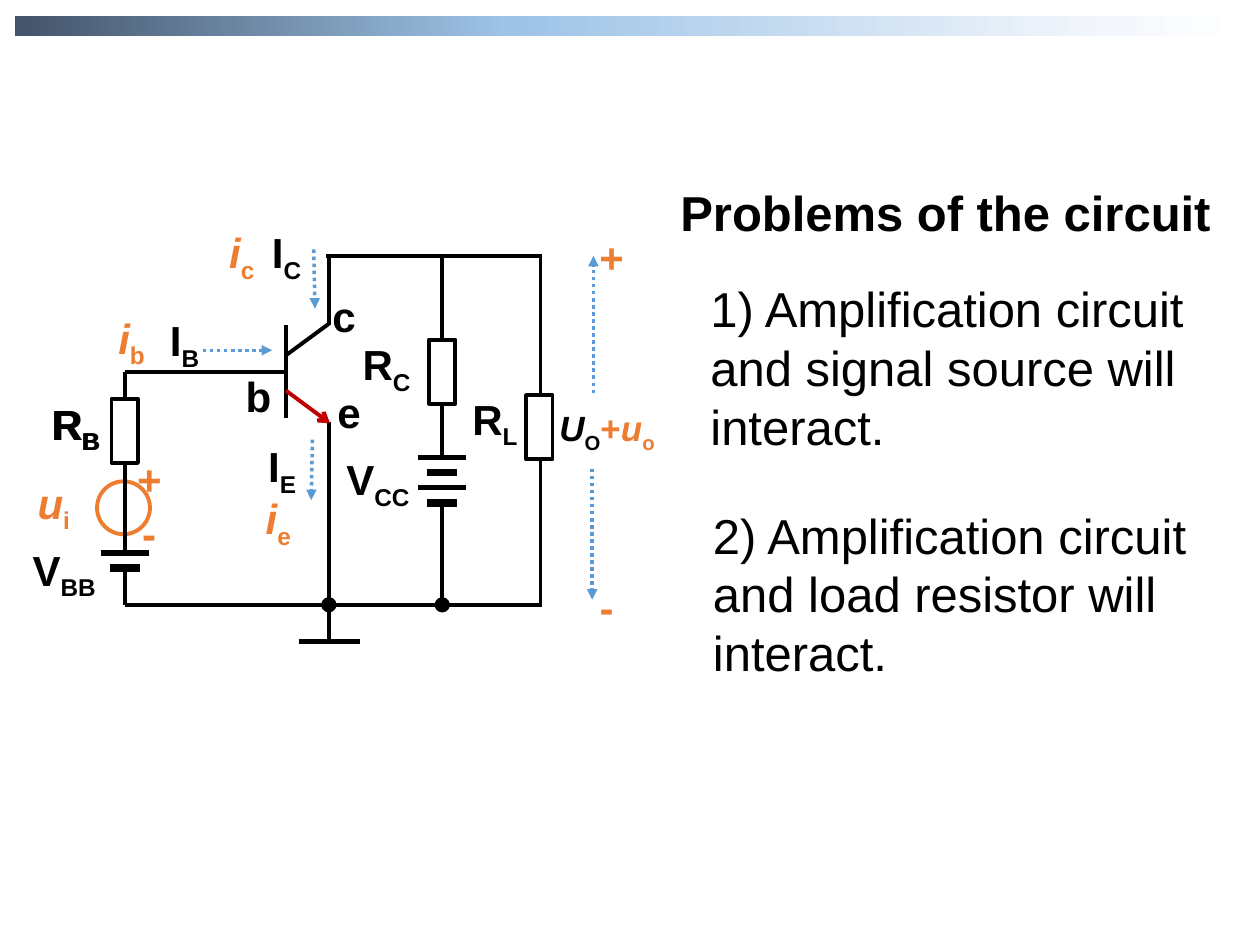
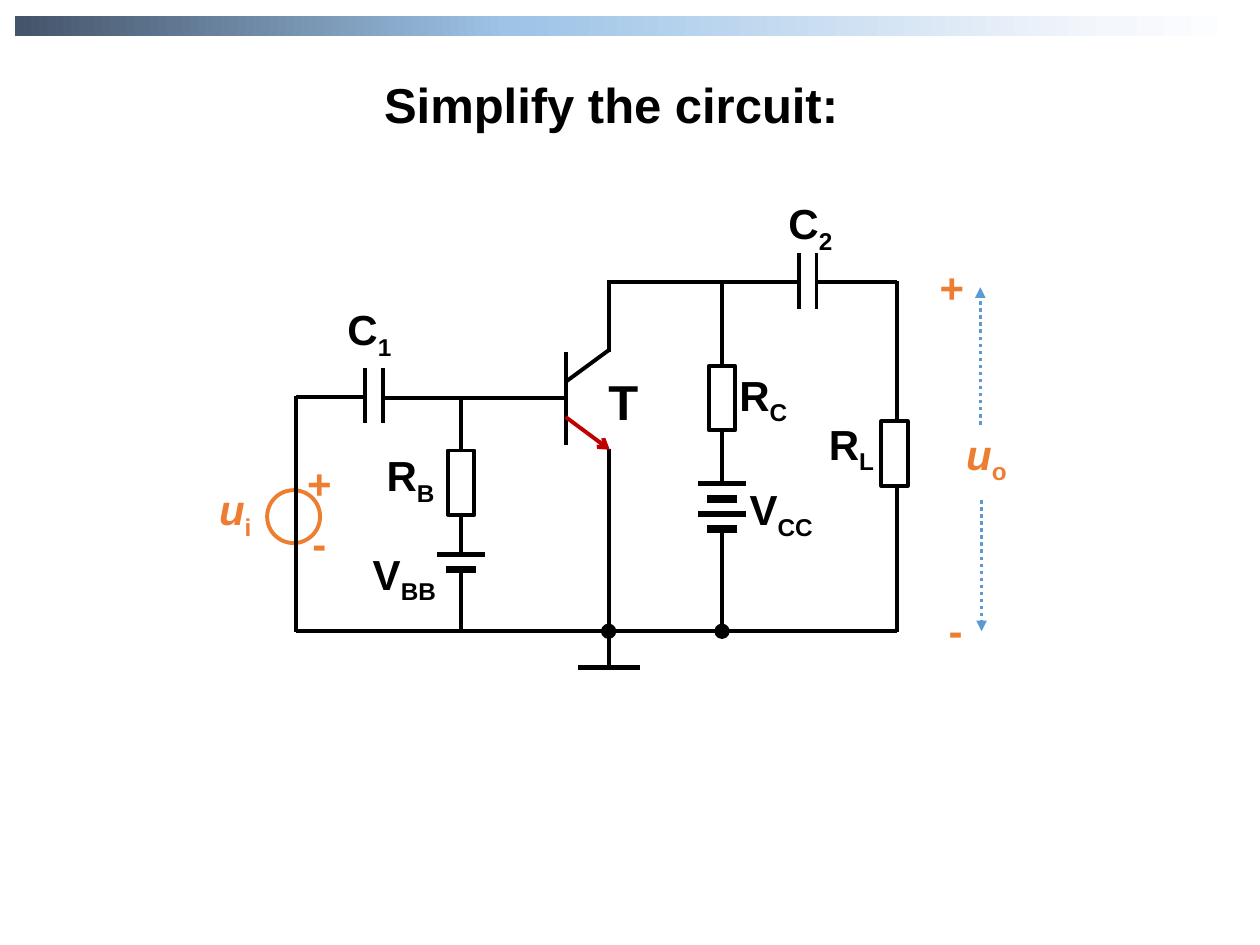
from lxml import etree
from pptx import Presentation
from pptx.dml.color import RGBColor
from pptx.enum.dml import MSO_LINE_DASH_STYLE as Dash
from pptx.enum.shapes import MSO_CONNECTOR, MSO_SHAPE
from pptx.enum.text import MSO_ANCHOR, MSO_AUTO_SIZE, PP_ALIGN
from pptx.oxml import parse_xml
from pptx.oxml.ns import nsdecls, qn
from pptx.util import Inches, Pt

WIDTH, HEIGHT = 10, 7.5
FONT = "Arial"
COLORS = {"ink": "000000", "paper": "FFFFFF", "signal": "ED7D31",
          "current": "5B9BD5", "emitter": "C00000"}
BAND = (0.12, 0.13, WIDTH - 2 * 0.12, 0.16)
BAND_STOPS = [(0, "44546A"), (40, "9DC3E6"), (89, "F4F7FC"), (100, "FFFFFF")]
WIRE, PLATE, THICK_PLATE, DOTTED = 2.25, 3, 4.5, 2

# Label styles: colour, and whether the main letter is italic
STYLES = {"dc": ("ink", False), "total": ("ink", True),
          "ac": ("signal", True), "sign": ("signal", False)}

# Output stage, measured from the top of the transistor's base bar
STAGE_WIRES = [
    ((0, 0), (0, 0.74)), ((0, 0.24), (0.34, -0.01)),
    ((0.34, 0), (0.34, -0.55)), ((0.34, 0.77), (0.34, 2.5)),
    ((1.24, -0.56), (1.24, 1.05)), ((1.24, 1.39), (1.24, 2.22)),
]
STAGE_EMITTER = ((0, 0.52), (0.35, 0.78))
STAGE_GROUND = ((0.1, 2.51), (0.59, 2.51))
STAGE_RESISTOR = (1.24, 0.37)
STAGE_CELLS = [(1.24, 1.05), (1.24, 1.29)]
STAGE_NODES = [(0.34, 2.22), (1.24, 2.22)]

# Labels: style, main text, subscript, left, top, width
CIRCUITS = [
    {
        "title": "Problems of the circuit",
        "title_box": (5.3, 1.4, 4.42, 0.57), "title_align": PP_ALIGN.LEFT,
        "notes": [
            ("1) Amplification circuit and signal source will interact.", (5.54, 2.16, 4.34, 1.48)),
            ("2) Amplification circuit and load resistor will interact.", (5.56, 3.96, 4.21, 1.48)),
        ],
        "stage": (2.27, 2.58),
        "wires": [
            ((2.27, 2.95), (0.99, 2.95)), ((0.99, 2.95), (0.99, 4.39)),
            ((0.99, 4.52), (0.99, 4.8)), ((0.99, 4.8), (4.29, 4.8)),
            ((2.59, 2.03), (4.29, 2.03)), ((4.29, 2.02), (4.29, 4.82)),
        ],
        "resistors": [(0.99, 3.42), (4.28, 3.39)],
        "cell": (0.99, 4.39), "capacitors": [], "source": (0.98, 4.03),
        "arrows": [
            ((1.61, 2.78), (2.16, 2.78)), ((2.49, 1.98), (2.5, 2.45)),
            ((2.48, 3.49), (2.47, 3.97)),
            ((4.7, 3.72), (4.7, 4.76)), ((4.71, 3.12), (4.71, 2.03)),
        ],
        "labels": [
            ("dc", "V", "CC", 2.65, 3.55, 0.79), ("dc", "R", "C", 2.78, 2.64, 0.79),
            ("dc", "V", "BB", 0.16, 4.27, 0.79), ("dc", "I", "C", 2.06, 1.75, 0.79),
            ("dc", "I", "E", 2.03, 3.45, 0.51), ("dc", "I", "B", 1.25, 2.45, 0.55),
            ("dc", "R", "B", 0.32, 3.11, 0.64), ("dc", "R", "B", 0.31, 3.11, 0.64),
            ("dc", "R", "L", 3.65, 3.07, 0.79), ("dc", "e", "", 2.58, 3.02, 0.41),
            ("dc", "c", "", 2.54, 2.26, 0.41), ("dc", "b", "", 1.85, 2.89, 0.41),
            ("ac", "u", "i", 0.2, 3.74, 0.6), ("ac", "i", "b", 0.84, 2.43, 0.75),
            ("ac", "i", "c", 1.72, 1.75, 0.75), ("ac", "i", "e", 2.01, 3.86, 0.75),
            ("sign", "+", "", 0.99, 3.55, 0.64), ("sign", "-", "", 1.03, 3.98, 0.41),
            ("sign", "+", "", 4.66, 1.79, 0.64), ("sign", "-", "", 4.66, 4.57, 0.41),
        ],
        "special": ([("total", "U", "O"), ("sign", "+", ""), ("ac", "u", "o")],
                    (4.34, 3.18, 1.02, 0.52), 20),
    },
    {
        "title": "Simplify the circuit:",
        "title_box": (1.44, 0.54, 6.82, 0.57), "title_align": PP_ALIGN.CENTER,
        "notes": [],
        "stage": (4.49, 2.79),
        "wires": [
            ((4.49, 3.16), (3.04, 3.16)), ((2.9, 3.15), (2.35, 3.15)),
            ((2.35, 3.14), (2.35, 5.02)), ((2.35, 5.01), (7.12, 5.01)),
            ((3.66, 3.16), (3.66, 4.4)), ((3.66, 4.52), (3.66, 5.01)),
            ((4.82, 2.24), (6.34, 2.24)), ((6.48, 2.24), (7.12, 2.24)),
            ((7.12, 2.23), (7.12, 5.02)),
        ],
        "resistors": [(3.66, 3.83), (7.1, 3.6)],
        "cell": (3.66, 4.4), "capacitors": [(2.97, 3.14), (6.41, 2.23)],
        "source": (2.33, 4.1),
        "arrows": [((7.79, 3.97), (7.79, 5.01)), ((7.78, 3.37), (7.78, 2.28))],
        "labels": [
            ("dc", "V", "CC", 5.85, 3.79, 0.79), ("dc", "R", "C", 5.77, 2.88, 0.79),
            ("dc", "V", "BB", 2.86, 4.3, 0.79), ("dc", "R", "B", 2.97, 3.52, 0.64),
            ("dc", "R", "L", 6.48, 3.27, 0.79), ("dc", "C", "1", 2.66, 2.36, 0.63),
            ("dc", "C", "2", 6.16, 1.52, 0.63), ("ac", "u", "i", 1.64, 3.79, 0.52),
            ("ac", "u", "o", 7.57, 3.35, 0.64),
            ("sign", "+", "", 2.34, 3.58, 0.64), ("sign", "-", "", 2.38, 4.06, 0.41),
            ("sign", "+", "", 7.36, 2.03, 0.64), ("sign", "-", "", 7.43, 4.75, 0.41),
        ],
        "special": ([("dc", "T", "")], (4.73, 2.9, 0.53, 0.57), 28),
    },
]


def rgb(name):
    return RGBColor.from_string(COLORS[name])


def inches(values):
    return [Inches(value) for value in values]


def add_line(slide, ends, width=WIRE, color="ink", arrow=None, dotted=False):
    start, end = ends
    connector = slide.shapes.add_connector(MSO_CONNECTOR.STRAIGHT, *inches(start + end))
    connector.line.width = Pt(width)
    connector.line.color.rgb = rgb(color)
    if dotted:
        connector.line.dash_style = Dash.ROUND_DOT
    if arrow:
        etree.SubElement(connector.line._get_or_add_ln(), qn("a:tailEnd"), type=arrow)
    etree.SubElement(connector._element.spPr, qn("a:effectLst"))


def add_centred(slide, preset, centre, width, height, fill=None, line="ink"):
    x, y = centre
    shape = slide.shapes.add_shape(
        preset, *inches((x - width / 2, y - height / 2, width, height)))
    shape.shadow.inherit = False
    if fill:
        shape.fill.solid()
        shape.fill.fore_color.rgb = rgb(fill)
    else:
        shape.fill.background()
    shape.line.color.rgb = rgb(line)
    shape.line.width = Pt(WIRE)


def add_resistor(slide, centre):
    add_centred(slide, MSO_SHAPE.RECTANGLE, centre, 0.21, 0.51, "paper")


def add_cell(slide, top):
    """One battery cell: a long plate with a short, thick plate below it."""
    x, y = top
    for half, drop, width in [(0.19, 0, PLATE), (0.12, 0.12, THICK_PLATE)]:
        add_line(slide, ((x - half, y + drop), (x + half, y + drop)), width)


def add_capacitor(slide, centre):
    x, y = centre
    for plate in (x - 0.07, x + 0.07):
        add_line(slide, ((plate, y - 0.22), (plate, y + 0.22)))


def add_stage(slide, origin):
    """The transistor with its collector resistor, supply and ground."""
    def at(point):
        return origin[0] + point[0], origin[1] + point[1]

    for start, end in STAGE_WIRES:
        add_line(slide, (at(start), at(end)))
    add_line(slide, [at(point) for point in STAGE_EMITTER], color="emitter", arrow="arrow")
    add_line(slide, [at(point) for point in STAGE_GROUND], PLATE)
    add_resistor(slide, at(STAGE_RESISTOR))
    for cell in STAGE_CELLS:
        add_cell(slide, at(cell))
    for node in STAGE_NODES:
        add_centred(slide, MSO_SHAPE.OVAL, at(node), 0.09, 0.09, "ink")


def format_paragraph(paragraph, size, bold):
    font = paragraph.font
    font.name, font.size, font.bold = FONT, Pt(size), bold
    font.color.rgb = rgb("ink")


def add_text_box(slide, box):
    frame = slide.shapes.add_textbox(*inches(box)).text_frame
    frame.word_wrap = True
    return frame.paragraphs[0]


def add_label(slide, symbols, box, size=24):
    """Write symbols, each a style, a main text and a subscript."""
    paragraph = add_text_box(slide, box)
    format_paragraph(paragraph, size, True)
    for style, main, subscript in symbols:
        color, italic = STYLES[style]
        for text, is_subscript in [(main, False), (subscript, True)]:
            if not text:
                continue
            run = paragraph.add_run()
            run.text = text
            run.font.color.rgb = rgb(color)
            run.font.italic = italic and not is_subscript
            if is_subscript:
                run.font._element.set("baseline", "-25000")


def add_band(slide):
    band = slide.shapes.add_shape(MSO_SHAPE.RECTANGLE, *inches(BAND))
    band.shadow.inherit = False
    band.line.fill.background()
    stops = "".join(f'<a:gs pos="{share * 1000}"><a:srgbClr val="{color}"/></a:gs>'
                    for share, color in BAND_STOPS)
    gradient = parse_xml(f'<a:gradFill {nsdecls("a")}><a:gsLst>{stops}</a:gsLst>'
                         '<a:lin ang="0" scaled="0"/></a:gradFill>')
    band._element.spPr.find(qn("a:prstGeom")).addnext(gradient)


def set_title(slide, text, box, align):
    title = slide.shapes.title
    title.left, title.top, title.width, title.height = inches(box)
    frame = title.text_frame
    frame.text = text
    frame.word_wrap = True
    frame.auto_size = MSO_AUTO_SIZE.NONE
    frame.vertical_anchor = MSO_ANCHOR.TOP
    frame.paragraphs[0].alignment = align
    format_paragraph(frame.paragraphs[0], 28, True)


def add_circuit_slide(presentation, circuit):
    slide = presentation.slides.add_slide(presentation.slide_layouts[5])
    add_band(slide)
    set_title(slide, circuit["title"], circuit["title_box"], circuit["title_align"])
    for text, box in circuit["notes"]:
        paragraph = add_text_box(slide, box)
        paragraph.text = text
        format_paragraph(paragraph, 28, False)

    add_centred(slide, MSO_SHAPE.OVAL, circuit["source"], 0.42, 0.42, line="signal")
    for wire in circuit["wires"]:
        add_line(slide, wire)
    add_stage(slide, circuit["stage"])
    for centre in circuit["resistors"]:
        add_resistor(slide, centre)
    add_cell(slide, circuit["cell"])
    for centre in circuit["capacitors"]:
        add_capacitor(slide, centre)
    for ends in circuit["arrows"]:
        add_line(slide, ends, DOTTED, "current", "triangle", dotted=True)

    for style, main, subscript, left, top, width in circuit["labels"]:
        height = 0.59 if subscript else 0.5
        add_label(slide, [(style, main, subscript)], (left, top, width, height))
    add_label(slide, *circuit["special"])


def main():
    presentation = Presentation()
    presentation.slide_width, presentation.slide_height = inches((WIDTH, HEIGHT))
    for circuit in CIRCUITS:
        add_circuit_slide(presentation, circuit)
    presentation.save("out.pptx")


if __name__ == "__main__":
    main()
